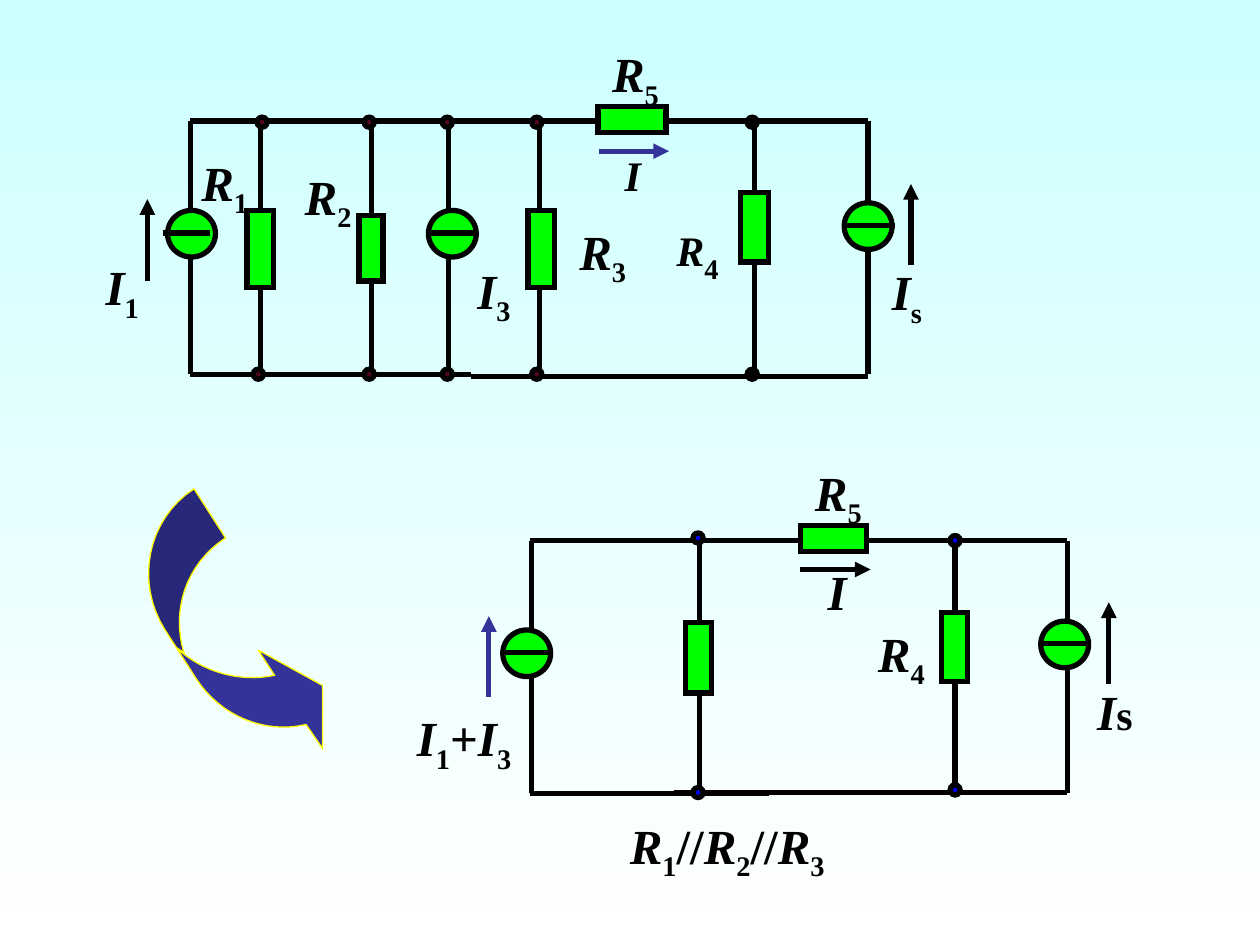
from lxml import etree
from pptx import Presentation
from pptx.dml.color import RGBColor
from pptx.enum.shapes import MSO_CONNECTOR, MSO_SHAPE
from pptx.enum.text import MSO_AUTO_SIZE
from pptx.oxml.ns import qn
from pptx.util import Inches, Pt

STRAIGHT = MSO_CONNECTOR.STRAIGHT
RECT = MSO_SHAPE.RECTANGLE
OVAL = MSO_SHAPE.OVAL
FIXED = MSO_AUTO_SIZE.NONE
BLACK, GREEN, BLUE, INDIGO, MAROON = "000000", "00FF00", "0000FF", "333399", "590322"


def color(hex_code):
    return RGBColor.from_string(hex_code)


def bezier(start, c1, c2, end, steps=16):
    points = []
    for step in range(1, steps + 1):
        t = step / steps
        weights = ((1 - t) ** 3, 3 * t * (1 - t) ** 2, 3 * t * t * (1 - t), t ** 3)
        points.append(tuple(
            sum(w * p[axis] for w, p in zip(weights, (start, c1, c2, end)))
            for axis in (0, 1)))
    return points


class Circuit:
    """Draws circuit elements on one slide in a shared style."""

    font_name = "Times New Roman"
    stroke = 3

    def __init__(self, slide):
        self.slide = slide
        self.shapes = slide.shapes

    def background(self, top, bottom):
        fill = self.slide.background.fill
        fill.gradient()
        fill.gradient_angle = 270
        for stop, hex_code in zip(fill.gradient_stops, (top, bottom)):
            stop.color.rgb = color(hex_code)

    def paint(self, shape, fill, line=BLACK, width=stroke):
        shape.shadow.inherit = False
        shape.fill.solid()
        shape.fill.fore_color.rgb = color(fill)
        shape.line.color.rgb = color(line)
        shape.line.width = Pt(width)
        outline = shape._element.spPr.find(qn("a:ln"))
        etree.SubElement(outline, qn("a:miter")).set("lim", "800000")

    def wire(self, x1, y1, x2, y2, hex_code=BLACK):
        line = self.shapes.add_connector(
            STRAIGHT, Inches(x1), Inches(y1), Inches(x2), Inches(y2))
        line.line.color.rgb = color(hex_code)
        line.line.width = Pt(self.stroke)
        etree.SubElement(line._element.spPr, qn("a:effectLst"))
        return line

    def arrow(self, x1, y1, x2, y2, hex_code=BLACK):
        line = self.wire(x1, y1, x2, y2, hex_code)
        outline = line._element.spPr.find(qn("a:ln"))
        etree.SubElement(outline, qn("a:tailEnd")).set("type", "triangle")

    def block(self, kind, x, y, w, h, fill=GREEN):
        shape = self.shapes.add_shape(kind, Inches(x), Inches(y), Inches(w), Inches(h))
        self.paint(shape, fill)
        return shape

    def resistor(self, x, y, w, h, rotation=0):
        self.block(RECT, x, y, w, h).rotation = rotation

    def source(self, x, y, bar_x):
        self.block(OVAL, x, y, 0.38, 0.37)
        self.wire(bar_x, y + 0.18, bar_x + 0.38, y + 0.18)

    def node(self, x, y, fill):
        self.block(OVAL, x, y, 0.08, 0.08, fill)

    def outline(self, points, fill):
        builder = self.shapes.build_freeform(
            Inches(points[0][0]), Inches(points[0][1]))
        builder.add_line_segments([(Inches(x), Inches(y)) for x, y in points[1:]])
        self.paint(builder.convert_to_shape(), fill, "FFFF00", 0.75)

    def label(self, x, y, w, h, *runs):
        box = self.shapes.add_textbox(Inches(x), Inches(y), Inches(w), Inches(h))
        frame = box.text_frame
        frame.word_wrap = True
        frame.auto_size = FIXED
        frame.margin_right = 0
        for text, role, size in runs:
            run = frame.paragraphs[0].add_run()
            run.text = text
            run.font.name = self.font_name
            run.font.size = Pt(size)
            run.font.bold = True
            run.font.italic = role == "symbol"
            run.font.color.rgb = color(BLACK)
            if role == "index":
                run._r.get_or_add_rPr().set("baseline", "-25000")


def symbol(text, size=28):
    return text, "symbol", size


def index(text):
    return text, "index", 28


def plain(text, size=28):
    return text, "plain", size


def draw_transform_arrow(circuit):
    tail, fold, inner = (1.54, 3.88), (1.4, 5.14), (1.46, 5.18)
    outer_arc = bezier(tail, (1.17, 4.12), (1.07, 4.62), (1.31, 5))
    inner_arc = bezier(inner, (1.36, 4.85), (1.47, 4.48), (1.79, 4.27))
    base = (1.56, 5.39)
    sweep = bezier(base, (1.75, 5.68), (2.1, 5.83), (2.43, 5.75))
    head = [(2.56, 5.94), (2.56, 5.44), (2.05, 5.16), (2.18, 5.36)]
    back = bezier(head[-1], (1.9, 5.42), (1.6, 5.33), fold)
    circuit.outline([tail, *outer_arc, fold, inner, *inner_arc, tail], "28287A")
    circuit.outline([fold, base, *sweep, *head, *back], INDIGO)


def draw_full_circuit(circuit):
    top, bottom = 0.96, 2.97
    for x in (1.51, 2.07, 2.95, 3.56, 4.28, 5.99, 6.89):
        circuit.wire(x, top, x, bottom)
    circuit.wire(1.51, top, 6.89, top)
    circuit.wire(1.51, bottom, 3.74, bottom)
    circuit.wire(3.74, 2.99, 6.89, 2.99)
    circuit.resistor(4.91, 0.68, 0.21, 0.54, 90)
    for x, y, w, h in ((1.96, 1.67, 0.21, 0.61), (2.85, 1.71, 0.19, 0.52),
                       (4.19, 1.67, 0.21, 0.61), (5.88, 1.53, 0.22, 0.55)):
        circuit.resistor(x, y, w, h)
    for x, y, bar_x in ((1.33, 1.67, 1.29), (3.4, 1.67, 3.4), (6.7, 1.61, 6.72)):
        circuit.source(x, y, bar_x)
    circuit.arrow(1.17, 2.23, 1.17, 1.58)
    circuit.arrow(7.23, 2.1, 7.23, 1.46)
    circuit.arrow(4.75, 1.2, 5.31, 1.2, INDIGO)
    for number, x, y in (("1", 1.5, 1.16), ("2", 2.32, 1.27),
                         ("3", 4.5, 1.71), ("5", 4.76, 0.3)):
        circuit.label(x, y, 0.57, 0.63, symbol("R"), index(number))
    circuit.label(5.27, 1.68, 0.53, 0.63, symbol("R", 24), index("4"))
    for number, x, y in (("1", 0.74, 1.99), ("3", 3.69, 2.02)):
        circuit.label(x, y, 0.46, 0.63, symbol("I"), index(number))
    circuit.label(6.98, 2.03, 0.71, 0.63, symbol("I"), index("s"))
    circuit.label(4.86, 1.14, 0.33, 0.5, symbol("I", 24))
    for y, first_x in ((0.93, 2.04), (2.93, 2.01)):
        for x in (first_x, 2.89, 3.51, 4.22):
            circuit.node(x, y, MAROON)
        circuit.node(5.93, y, BLACK)


def draw_reduced_circuit(circuit):
    top, bottom = 4.29, 6.29
    for x in (4.22, 5.55, 7.58, 8.47):
        circuit.wire(x, top, x, bottom)
    circuit.wire(4.21, top, 8.47, top)
    circuit.wire(4.21, 6.3, 6.1, 6.3)
    circuit.wire(5.35, bottom, 8.47, bottom)
    circuit.resistor(6.51, 4.01, 0.21, 0.53, 90)
    circuit.resistor(5.44, 4.94, 0.21, 0.56)
    circuit.resistor(7.47, 4.86, 0.21, 0.55)
    circuit.source(3.99, 5, 3.99)
    circuit.source(8.26, 4.93, 8.26)
    circuit.arrow(3.88, 5.53, 3.88, 4.89, INDIGO)
    circuit.arrow(8.8, 5.43, 8.8, 4.78)
    circuit.arrow(6.35, 4.52, 6.91, 4.52)
    for number, x, y in (("5", 6.37, 3.62), ("4", 6.87, 4.9)):
        circuit.label(x, y, 0.57, 0.63, symbol("R"), index(number))
    circuit.label(8.61, 5.36, 0.48, 0.57, symbol("I"), plain("s", 24))
    circuit.label(6.47, 4.41, 0.35, 0.57, symbol("I"))
    circuit.label(4.9, 6.42, 1.74, 0.63, symbol("R"), index("1"), plain("//"),
                  symbol("R"), index("2"), plain("//"), symbol("R"), index("3"))
    circuit.label(3.21, 5.57, 0.95, 0.63, symbol("I"), index("1"), plain("+"),
                  symbol("I"), index("3"))
    for x, y in ((5.5, 4.23), (7.54, 4.25), (7.54, 6.23), (5.5, 6.25)):
        circuit.node(x, y, BLUE)


def main():
    deck = Presentation()
    deck.slide_width, deck.slide_height = Inches(10), Inches(7.5)
    circuit = Circuit(deck.slides.add_slide(deck.slide_layouts[6]))
    circuit.background("CCFFFF", "FFFFFF")
    draw_transform_arrow(circuit)
    draw_reduced_circuit(circuit)
    draw_full_circuit(circuit)
    deck.save("out.pptx")


if __name__ == "__main__":
    main()
